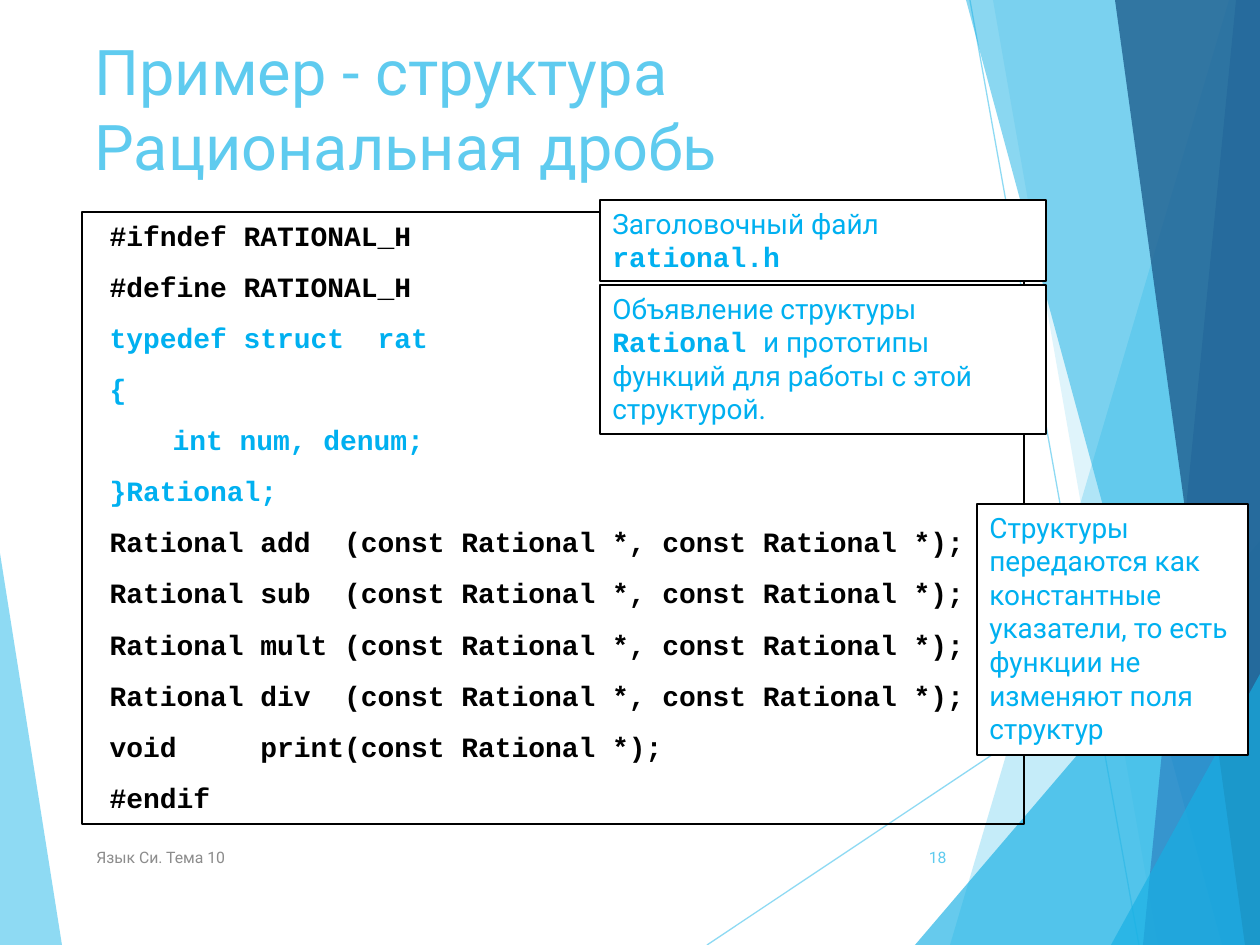
"""Build the slide on the header file of the rational fraction structure."""
from lxml import etree
from pptx import Presentation
from pptx.dml.color import RGBColor
from pptx.enum.shapes import MSO_CONNECTOR, MSO_SHAPE
from pptx.enum.text import MSO_ANCHOR, MSO_AUTO_SIZE, PP_ALIGN
from pptx.oxml.ns import qn
from pptx.util import Pt

TOP, MIDDLE = MSO_ANCHOR.TOP, MSO_ANCHOR.MIDDLE
LEFT, RIGHT = PP_ALIGN.LEFT, PP_ALIGN.RIGHT
NO_FIT, GROW = MSO_AUTO_SIZE.NONE, MSO_AUTO_SIZE.SHAPE_TO_FIT_TEXT
RECTANGLE, STRAIGHT = MSO_SHAPE.RECTANGLE, MSO_CONNECTOR.STRAIGHT

WIDTH, HEIGHT, PX_PER_INCH = 1260, 945, 126
SCALE = 914400 / PX_PER_INCH
SANS, MONO = "Roboto", "Courier New"
COLORS = {"sky": "5FCBEF", "cyan": "17B0E4", "blue": "2E83C3", "navy": "226292",
          "accent": "00B0F0", "black": "000000", "white": "FFFFFF", "gray": "8C8C8C"}

LEFT_WEDGE = ("sky", 70, [(0, 553), (62, 945), (0, 945)])
RAYS = [((707, 945), (1260, 576)), ((970, 0), (1139, 945))]
RIGHT_FACETS = [
    ("sky", 36, [(1229, 0), (950, 945), (1260, 945), (1260, 0)]),
    ("sky", 20, [(993, 0), (1158, 945), (1260, 945), (1260, 0)]),
    ("cyan", 66, [(915, 945), (1260, 541), (1260, 945)]),
    ("cyan", 50, [(966, 0), (1222, 945), (1260, 945), (1260, 0)]),
    ("blue", 70, [(1236, 0), (1143, 945), (1260, 945), (1260, 0)]),
    ("navy", 82, [(1115, 0), (1245, 945), (1260, 945), (1260, 0)]),
    ("cyan", 66, [(1111, 945), (1260, 674), (1260, 945)]),
]

TITLE = "Пример - структура Рациональная дробь"
GUARD = ["#ifndef RATIONAL_H", "#define RATIONAL_H"]
STRUCTURE = ["typedef struct  rat", "{", "\tint num, denum;", "}Rational;"]
PROTOTYPES = [f"Rational {name:<4} (const Rational *, const Rational *);"
              for name in ("add", "sub", "mult", "div")]
ENDING = ["void     print(const Rational *);", "#endif"]
CODE = ([(line, "black") for line in GUARD]
        + [(line, "accent") for line in STRUCTURE]
        + [(line, "black") for line in PROTOTYPES + ENDING])

NOTES = [
    ((600, 285, 446, 149), [("Объявление структуры ", SANS), ("Rational ", MONO),
                            ("и прототипы функций для работы с этой структурой.", SANS)]),
    ((600, 200, 446, 81), [("Заголовочный файл ", SANS), ("rational.h", MONO)]),
    ((977, 504, 271, 251), [("Структуры передаются как константные указатели, "
                             "то есть функции не изменяют поля структур", SANS)]),
]
FOOTERS = [
    ((84, 832, 638, 50), "Язык Си. Тема 10", "gray", LEFT),
    ((888, 832, 71, 50), "18", "sky", RIGHT),
]


def px(*lengths):
    return [round(length * SCALE) for length in lengths]


def paint(color_format, name):
    color_format.rgb = RGBColor.from_string(COLORS[name])


def fill(part, name):
    part.fill.solid()
    paint(part.fill.fore_color, name)


def fade(part, opacity):
    color = next(part._element.spPr.iter(qn("a:srgbClr")))
    etree.SubElement(color, qn("a:alpha"), val=str(opacity * 1000))


def outline(part, name):
    paint(part.line.color, name)
    part.line.width = Pt(0.75)


def place(part, box):
    part.left, part.top, part.width, part.height = px(*box)


def write(part, paragraphs, size=16, align=LEFT, anchor=TOP, fit=NO_FIT, before=0, indent=0):
    """Fill a part with paragraphs, each a list of (text, font, color) runs."""
    frame = part.text_frame
    frame.word_wrap, frame.vertical_anchor, frame.auto_size = True, anchor, fit
    for index, runs in enumerate(paragraphs):
        paragraph = frame.add_paragraph() if index else frame.paragraphs[0]
        paragraph.alignment = align
        paragraph.space_before = Pt(before)
        properties = paragraph._p.get_or_add_pPr()
        properties.set("marL", str(px(indent)[0]))
        properties.set("indent", "0")
        etree.SubElement(properties, qn("a:buNone"))
        for text, font, color in runs:
            run = paragraph.add_run()
            run.text = text
            run.font.name, run.font.size, run.font.bold = font, Pt(size), font == MONO
            paint(run.font.color, color)


def add_facet(slide, color, opacity, points):
    builder = slide.shapes.build_freeform(*points[0], scale=SCALE)
    builder.add_line_segments(points[1:], close=True)
    facet = builder.convert_to_shape()
    facet.shadow.inherit = False
    fill(facet, color)
    fade(facet, opacity)
    facet.line.fill.background()


def add_ray(slide, start, end):
    ray = slide.shapes.add_connector(STRAIGHT, *px(*start, *end))
    outline(ray, "sky")
    fade(ray, 70)
    etree.SubElement(ray._element.spPr, qn("a:effectLst"))


def main():
    prs = Presentation()
    prs.slide_width, prs.slide_height = px(WIDTH, HEIGHT)
    slide = prs.slides.add_slide(prs.slide_layouts[1])
    shapes = slide.shapes
    title, code = slide.placeholders

    add_facet(slide, *LEFT_WEDGE)
    for start, end in RAYS:
        add_ray(slide, start, end)
    for facet in RIGHT_FACETS:
        add_facet(slide, *facet)
    for placeholder in (title, code):
        shapes._spTree.append(placeholder._element)

    place(title, (82, 26, 874, 182))
    write(title, [[(TITLE, SANS, "sky")]], size=36)
    place(code, (82, 212, 942, 612))
    outline(code, "black")
    write(code, [[(line, MONO, color)] for line, color in CODE], before=10, indent=15)

    for box, text, color, align in FOOTERS:
        footer = shapes.add_textbox(*px(*box))
        write(footer, [[(text, SANS, color)]], size=9, align=align, anchor=MIDDLE)
    for box, runs in NOTES:
        note = shapes.add_shape(RECTANGLE, *px(*box))
        note.shadow.inherit = False
        fill(note, "white")
        outline(note, "black")
        write(note, [[(text, font, "accent") for text, font in runs]], fit=GROW)
    prs.save("out.pptx")


if __name__ == "__main__":
    main()
